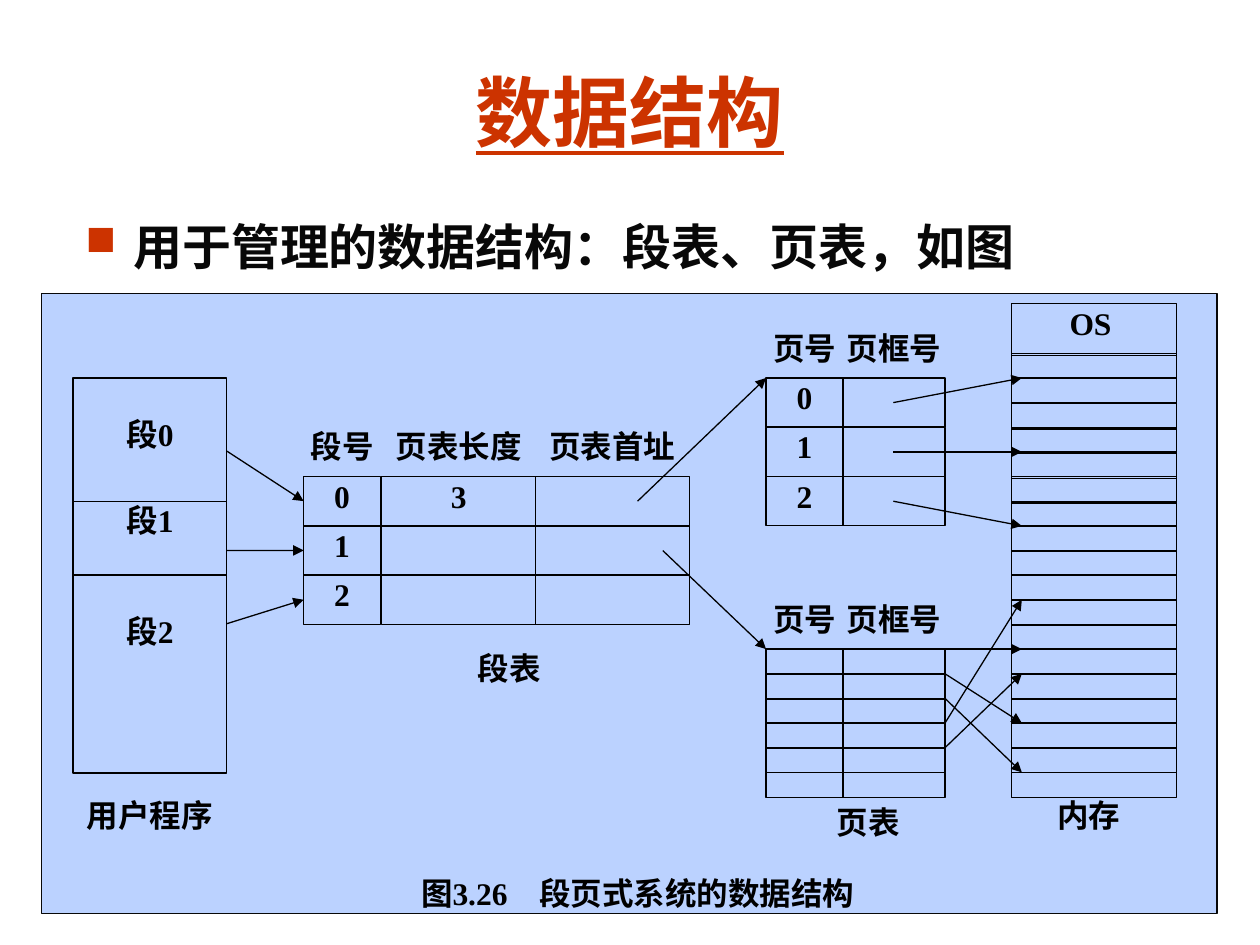
from lxml.etree import SubElement
from pptx import Presentation
from pptx.dml.color import RGBColor
from pptx.enum.shapes import MSO_CONNECTOR, MSO_SHAPE
from pptx.enum.text import MSO_ANCHOR, PP_ALIGN
from pptx.oxml.ns import qn
from pptx.util import Inches, Pt

BLACK = "000000"
LABEL = {"size": 18, "name": "Times New Roman", "bold": True, "color": BLACK}
TITLE = {"size": 44, "name": "Arial", "bold": True, "underline": True, "color": "CC3300"}
BODY = {"size": 28, "name": "Arial", "bold": True, "color": "080808"}

prs = Presentation()
prs.slide_width, prs.slide_height = Inches(10), Inches(7.5)
s = prs.slides.add_slide(prs.slide_layouts[6])


def box(x, y, w, h, text="", framed=True, fmt=LABEL, inset=0, top=0,
        align=PP_ALIGN.CENTER, anchor=MSO_ANCHOR.TOP):
    """Add a framed rectangle or a plain text box; inset is for all sides, top is extra."""
    area = [Inches(v) for v in (x, y, w, h)]
    if framed:
        sp = s.shapes.add_shape(MSO_SHAPE.RECTANGLE, *area)
        sp.shadow.inherit = False
        sp.fill.background()
        sp.line.color.rgb = RGBColor.from_string(BLACK)
        sp.line.width = Pt(0.75)
    else:
        sp = s.shapes.add_textbox(*area)
    if text:
        tf = sp.text_frame
        tf.word_wrap = True
        tf.vertical_anchor = anchor
        tf.margin_left = tf.margin_right = Inches(2 * inset)
        tf.margin_top, tf.margin_bottom = Inches(inset + top), Inches(inset)
        p = tf.paragraphs[0]
        p.alignment = align
        r = p.add_run()
        r.text = text
        for key, value in fmt.items():
            if key == "color":
                r.font.color.rgb = RGBColor.from_string(value)
            else:
                setattr(r.font, key, Pt(value) if key == "size" else value)
    return sp


def arrow(x1, y1, x2, y2):
    cn = s.shapes.add_connector(MSO_CONNECTOR.STRAIGHT,
                                *[Inches(v) for v in (x1, y1, x2, y2)])
    cn.line.color.rgb = RGBColor.from_string(BLACK)
    cn.line.width = Pt(0.75)
    SubElement(cn.line._get_or_add_ln(), qn("a:tailEnd"), type="triangle")
    SubElement(cn._element.spPr, qn("a:effectLst"))
    return cn


# Heading and bullet
box(0.33, 0.25, 9.34, 1.25, "数据结构", framed=False, fmt=TITLE, inset=0.05,
    anchor=MSO_ANCHOR.MIDDLE)
body = box(0.58, 1.67, 8.83, 0.62, "用于管理的数据结构：段表、页表，如图", framed=False,
           fmt=BODY, inset=0.05, align=PP_ALIGN.LEFT)
pPr = body.text_frame.paragraphs[0]._p.get_or_add_pPr()
pPr.set("marL", str(Inches(0.38)))
pPr.set("indent", str(-Inches(0.38)))
SubElement(SubElement(pPr, qn("a:buClr")), qn("a:srgbClr"), val="CC3300")
SubElement(pPr, qn("a:buSzPct"), val="85000")
SubElement(pPr, qn("a:buChar"), char="■")

# Diagram background and caption
panel = box(0.33, 2.33, 9.33, 4.92)
panel.fill.solid()
panel.fill.fore_color.rgb = RGBColor.from_string("BBD2FF")
panel.line.color.rgb = RGBColor.from_string("080808")
box(0.99, 6.89, 8.14, 0.61, "图3.26　段页式系统的数据结构", framed=False, inset=0.05)

# All tables share one vertical grid: page rows are one step, table rows two
STEP = 3.13 / 16
rows = [3 + i * STEP for i in range(17)]
PAGE_H, ROW_H = 0.2, 0.39

# User program
for text, y, h, top in [("段0", rows[0], 0.98, 0.29), ("段1", rows[5], 0.59, 0),
                        ("段2", rows[8], 1.57, 0.29)]:
    box(0.58, y, 1.22, h, text, top=top)
box(0.58, 6.32, 1.22, ROW_H, "用户程序", framed=False)

# Segment table
segment_rows = []
for x, w, head, cells in [(2.41, 0.61, "段号", "012"), (3.03, 1.22, "页表长度", ["3", "", ""]),
                          (4.25, 1.22, "页表首址", [""] * 3)]:
    box(x, rows[2], w, ROW_H, head, framed=False)
    column = [box(x, rows[4 + 2 * i], w, ROW_H, text) for i, text in enumerate(cells)]
    segment_rows = segment_rows or column
box(2.82, rows[11], 2.44, ROW_H, "段表", framed=False)

for y1, y2, target in zip((3.58, 4.37, 4.95), (3.97, 4.37, 4.76), segment_rows):
    arrow(1.8, y1, 2.41, y2).end_connect(target, 1)

# Page tables
for x, w, head, cells in [(6.08, 0.61, "页号", "012"), (6.69, 0.81, "页框号", [""] * 3)]:
    for top in (rows[0], rows[11]):
        box(x, top - 2 * STEP, w, ROW_H, head, framed=False)
    for i, text in enumerate(cells):
        box(x, rows[2 * i], w, ROW_H, text)
    for y in rows[11:]:
        box(x, y, w, PAGE_H)
box(6.28, 6.32, 1.22, 0.59, "页表", framed=False, inset=0.05)
arrow(5.06, rows[5], 6.08, rows[0])
arrow(5.26, rows[7], 6.08, rows[11])

# Memory
box(8.03, 2.41, 1.31, 0.41, "OS", inset=0).text_frame.margin_right = Inches(0.06)
for i, y in enumerate([rows[0] - STEP] + rows):
    box(8.03, y, 1.31, 0.21 if 2 <= i <= 5 else PAGE_H)
box(8.03, 6.32, 1.22, ROW_H, "内存", framed=False)

# Page table entries to memory, as grid row pairs
for x, links in [(7.09, [(1, 0), (3, 3), (5, 6)]),
                 (7.5, [(11, 11), (12, 14), (13, 16), (14, 9), (15, 12)])]:
    for start, end in links:
        arrow(x, rows[start], 8.11, rows[end])

prs.save("out.pptx")
